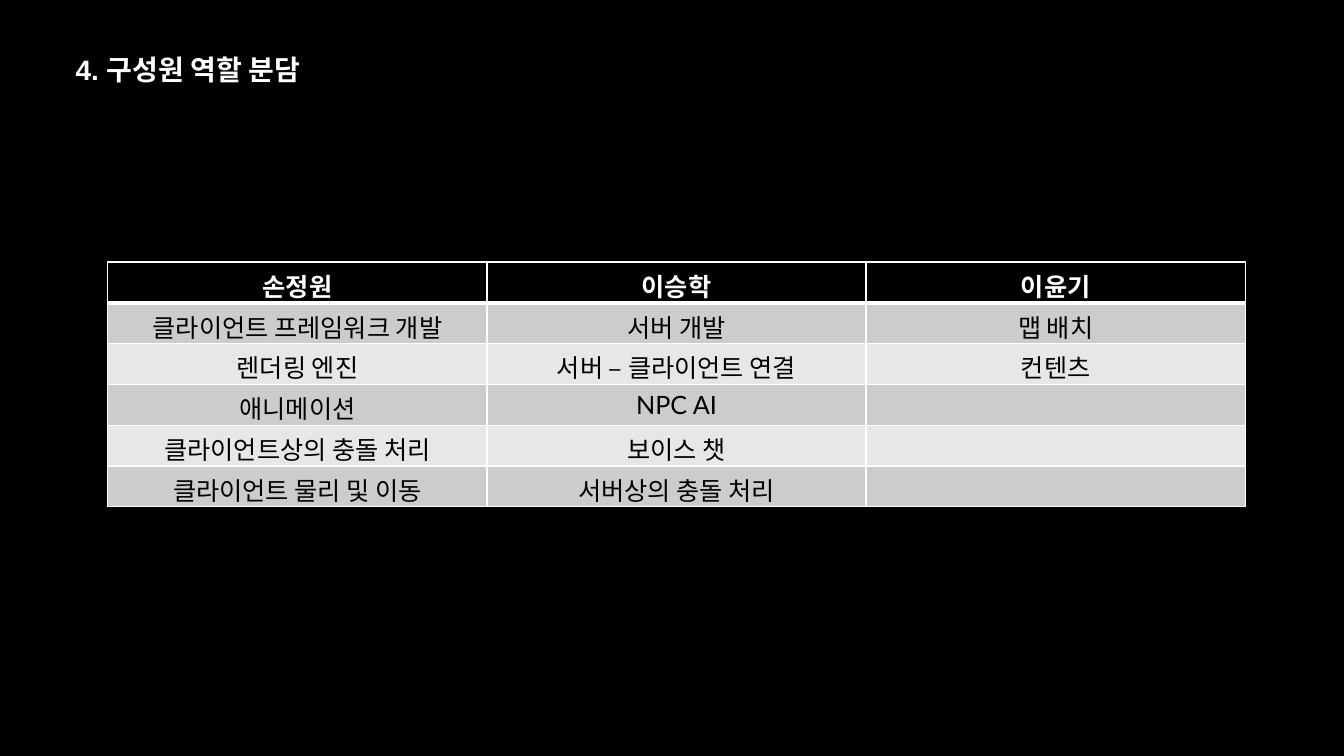
from dataclasses import dataclass

import pptx
import pptx.dml.color
import pptx.enum.text
import pptx.oxml
import pptx.oxml.ns
import pptx.util
from pptx.util import Inches

HUES = {"black": "000000", "white": "FFFFFF", "dark": "CCCCCC", "light": "E7E7E7"}
ALIGN = pptx.enum.text.PP_ALIGN
COLS = 3
LEFT, TOP, WIDTH, HEIGHT = 1.07, 2.6, 11.28, 2.43


@dataclass(frozen=True)
class Row:
    texts: tuple[str, ...]
    fill: str
    ink: str = "black"
    bold: bool = False
    above: int = 1
    below: int = 1


ROWS = [
    Row(("손정원", "이승학", "이윤기"), "black", "white", True, below=3),
    Row(("클라이언트 프레임워크 개발", "서버 개발", "맵 배치"), "dark", above=3),
    Row(("렌더링 엔진", "서버 – 클라이언트 연결", "컨텐츠"), "light"),
    Row(("애니메이션", "NPC AI", ""), "dark"),
    Row(("클라이언트상의 충돌 처리", "보이스 챗", ""), "light"),
    Row(("클라이언트 물리 및 이동", "서버상의 충돌 처리", ""), "dark"),
]


def tint(name: str) -> pptx.dml.color.RGBColor:
    return pptx.dml.color.RGBColor.from_string(HUES[name])


def write(frame, text: str, *, font: str, size: int, ink: str, bold: bool, align) -> None:
    para = frame.paragraphs[0]
    para.alignment = align
    if not text:
        para.font.size = pptx.util.Pt(size)
        return
    run = para.add_run()
    run.text = text
    run.font.name = font
    run.font.size = pptx.util.Pt(size)
    run.font.bold = bold
    run.font.color.rgb = tint(ink)


def edge(cell, side: str, width: int) -> None:
    space = pptx.oxml.ns.nsdecls("a")
    line = pptx.oxml.parse_xml(
        f'<a:{side} {space} w="{pptx.util.Pt(width)}"><a:solidFill>'
        f'<a:srgbClr val="{HUES["white"]}"/></a:solidFill></a:{side}>'
    )
    cell._tc.get_or_add_tcPr().append(line)


def head(slide) -> None:
    title = slide.shapes.title
    title.left, title.top = Inches(0.65), Inches(0.47)
    title.width, title.height = Inches(3.78), Inches(0.44)
    frame = title.text_frame
    frame.word_wrap = True
    frame.auto_size = pptx.enum.text.MSO_AUTO_SIZE.SHAPE_TO_FIT_TEXT
    frame.vertical_anchor = pptx.enum.text.MSO_ANCHOR.TOP
    write(frame, "4. 구성원 역할 분담", font="Arial", size=20, ink="white",
          bold=True, align=ALIGN.LEFT)


def grid(slide) -> None:
    table = slide.shapes.add_table(
        len(ROWS), COLS, Inches(LEFT), Inches(TOP), Inches(WIDTH), Inches(HEIGHT)
    ).table
    for y, row in enumerate(ROWS):
        for x, text in enumerate(row.texts):
            cell = table.cell(y, x)
            sides = {"lnL": 1, "lnR": 1, "lnT": row.above, "lnB": row.below}
            for side, width in sides.items():
                edge(cell, side, width)
            cell.fill.solid()
            cell.fill.fore_color.rgb = tint(row.fill)
            write(cell.text_frame, text, font="Lato", size=18, ink=row.ink,
                  bold=row.bold, align=ALIGN.CENTER)


def main() -> None:
    deck = pptx.Presentation()
    deck.slide_width, deck.slide_height = Inches(13.33), Inches(7.5)
    slide = deck.slides.add_slide(deck.slide_layouts[5])
    slide.background.fill.solid()
    slide.background.fill.fore_color.rgb = tint("black")
    head(slide)
    grid(slide)
    deck.save("out.pptx")


if __name__ == "__main__":
    main()
